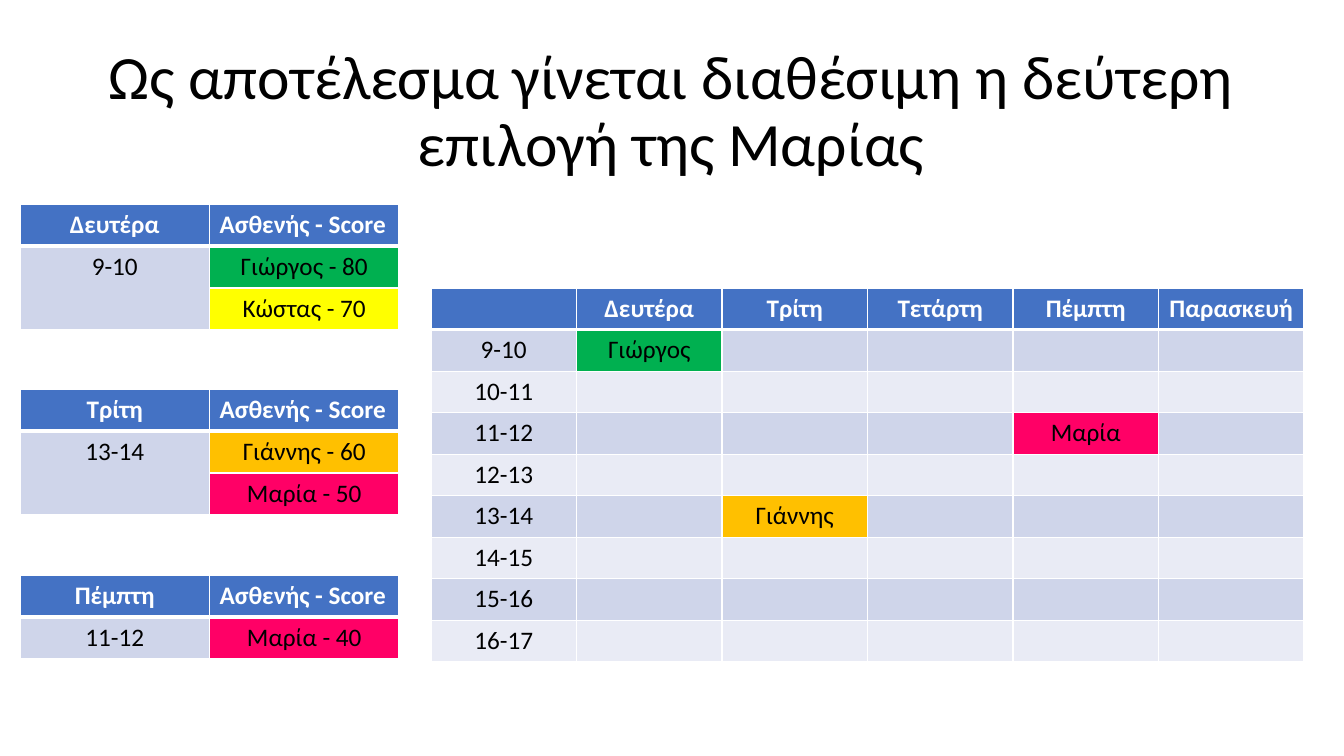
from pptx import Presentation
from pptx.dml.color import RGBColor as RGB
from pptx.enum.text import MSO_ANCHOR as ANCHOR, PP_ALIGN as ALIGN
from pptx.oxml import parse_xml
from pptx.oxml.ns import nsdecls
from pptx.util import Emu, Pt

SCALE = 914400 / 100.8
FONT = "Calibri"
BLACK = RGB(0, 0, 0)
WHITE = RGB(255, 255, 255)
HEADER = RGB(0x44, 0x72, 0xC4)
BANDS = RGB(0xCF, 0xD5, 0xEA), RGB(0xE9, 0xEB, 0xF5)
PINK = RGB(0xFF, 0x00, 0x66)
PATIENTS = {
    "Γιώργος": RGB(0x00, 0xB0, 0x50),
    "Κώστας": RGB(0xFF, 0xFF, 0x00),
    "Γιάννης": RGB(0xFF, 0xC0, 0x00),
    "Μαρία": PINK,
}

DAYS = ["Δευτέρα", "Τρίτη", "Τετάρτη", "Πέμπτη", "Παρασκευή"]
BOOKED = {
    ("9-10", "Δευτέρα"): "Γιώργος",
    ("11-12", "Πέμπτη"): "Μαρία",
    ("13-14", "Τρίτη"): "Γιάννης",
}
REQUESTS = [
    (204, "Δευτέρα", "9-10", ["Γιώργος - 80", "Κώστας - 70"]),
    (389, "Τρίτη", "13-14", ["Γιάννης - 60", "Μαρία - 50"]),
    (575, "Πέμπτη", "11-12", ["Μαρία - 40"]),
]


def px(*values):
    """Turn pixel lengths into EMU."""
    return [Emu(round(v * SCALE)) for v in values]


def write(tf, text, size, color, bold=False, align=ALIGN.CENTER):
    """Put one formatted paragraph into a text frame and return it."""
    p = tf.paragraphs[0]
    p.alignment = align
    r = p.add_run()
    r.text = text
    for name, value in {"name": FONT, "size": Pt(size), "bold": bold}.items():
        setattr(r.font, name, value)
    r.font.color.rgb = color
    return p


def add_title(s, text, *box):
    """Add the slide title."""
    tf = s.shapes.add_textbox(*px(*box)).text_frame
    tf.word_wrap = True
    tf.vertical_anchor = ANCHOR.MIDDLE
    write(tf, text, 44, BLACK).line_spacing = 0.9


def set_borders(cell, row):
    """Draw white borders, thick between the header and the body."""
    widths = {"L": 1, "R": 1, "T": 3 if row == 1 else 1, "B": 3 if row == 0 else 1}
    tc_pr = cell._tc.get_or_add_tcPr()
    for side, width in widths.items():
        tc_pr.append(parse_xml(
            f'<a:ln{side} {nsdecls("a")} w="{Pt(width)}"><a:solidFill>'
            f'<a:srgbClr val="{WHITE}"/></a:solidFill></a:ln{side}>'))


def add_grid(s, rows, *box, left_header=None):
    """Add an evenly divided table, coloured by header, patient or band."""
    x, y, w, h = px(*box)
    table = s.shapes.add_table(len(rows), len(rows[0]), x, y, w, h).table
    for column in table.columns:
        column.width = Emu(w // len(rows[0]))
    for i, row in enumerate(rows):
        table.rows[i].height = Emu(h // len(rows))
        for j, text in enumerate(row):
            cell = table.cell(i, j)
            set_borders(cell, i)
            fill = PATIENTS.get(text.split(" - ")[0], BANDS[(i + 1) % 2])
            cell.fill.solid()
            cell.fill.fore_color.rgb = fill if i else HEADER
            if text:
                align = ALIGN.LEFT if text == left_header else ALIGN.CENTER
                write(cell.text_frame, text, 18, BLACK if i else WHITE, i == 0, align)
    return table


def add_requests(s, top, day, hour, patients):
    """Add the patients who ask for one hour of a day."""
    score = "Ασθενής - Score"
    rows = [[day, score]] + [["" if i else hour, p] for i, p in enumerate(patients)]
    table = add_grid(s, rows, 20, top, 379, 42 * len(rows), left_header=score)
    if len(patients) > 1:
        table.cell(1, 0).merge(table.cell(len(patients), 0))


def add_schedule(s):
    """Add the weekly schedule with its booked hours."""
    hours = [f"{h}-{h + 1}" for h in range(9, 17)]
    rows = [[""] + DAYS]
    rows += [[hour] + [BOOKED.get((hour, day), "") for day in DAYS] for hour in hours]
    add_grid(s, rows, 431, 288, 873, 374)


def main():
    """Build and save the slide."""
    prs = Presentation()
    prs.slide_width, prs.slide_height = px(1344, 756)
    s = prs.slides.add_slide(prs.slide_layouts[6])
    add_title(s, "Ως αποτέλεσμα γίνεται διαθέσιμη η δεύτερη επιλογή της Μαρίας",
              92, 40, 1159, 146)
    add_schedule(s)
    for request in REQUESTS:
        add_requests(s, *request)
    prs.save("out.pptx")


main()
